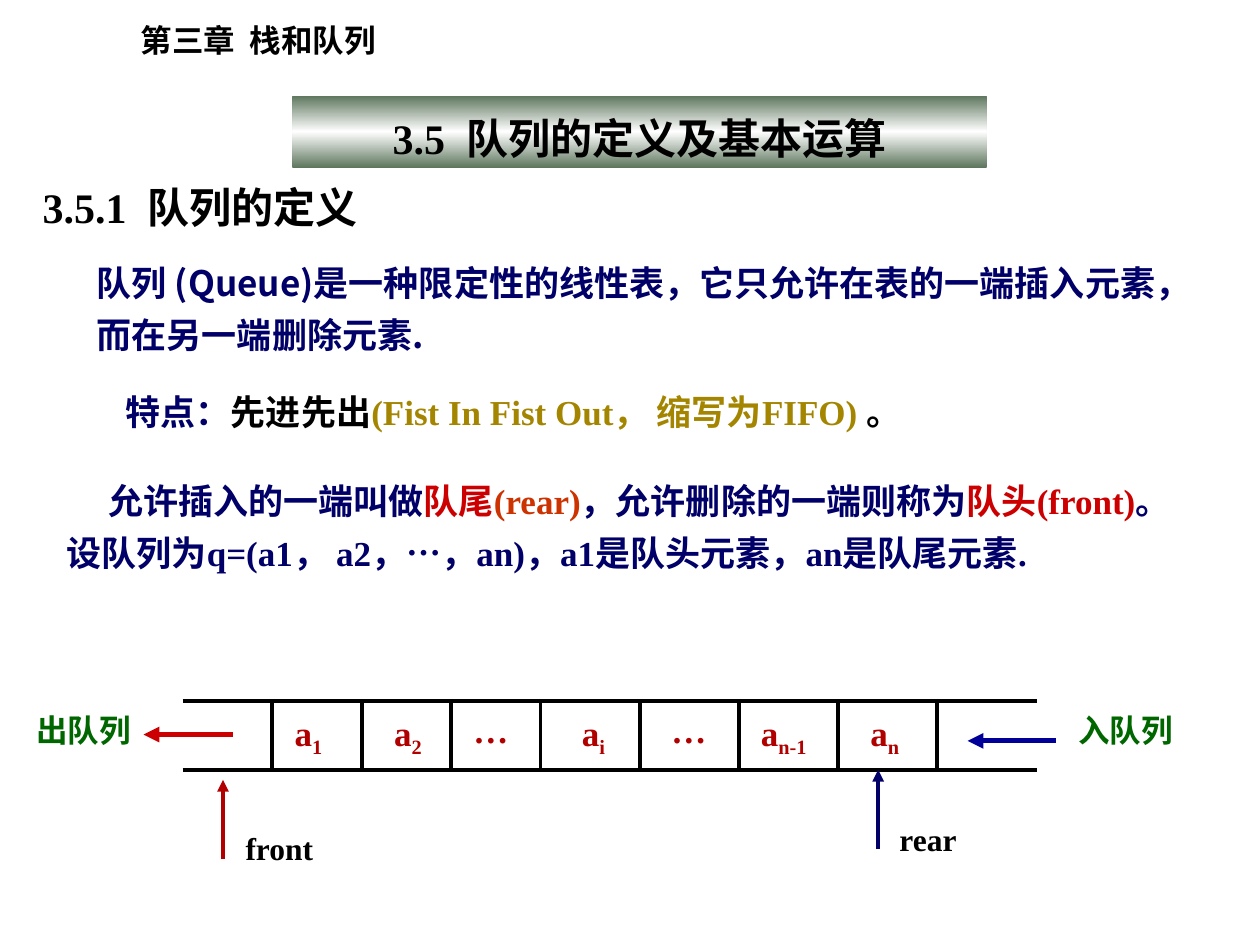
from copy import deepcopy

from lxml.etree import SubElement as Sub
from pptx import Presentation
from pptx.dml.color import RGBColor
from pptx.enum.shapes import MSO_CONNECTOR as Conn
from pptx.enum.text import MSO_ANCHOR as Anchor, MSO_AUTO_SIZE as Fit, PP_ALIGN as Align
from pptx.oxml.ns import qn
from pptx.util import Inches, Pt

SERIF, SANS = "Times New Roman", "Noto Sans CJK SC"
BLACK, NAVY, RED, DARK = "000000", "000068", "CC0000", "B00000"
GREEN, GOLD, RUST, BLUE = "006600", "A48500", "CC3300", "000099"
SAGE, WHITE = "5E765E", "FFFFFF"


def color(code):
    return RGBColor.from_string(code)


def write(frame, paras, size=20, tint=BLACK, font=SERIF, gap=1, align=Align.LEFT, wrap=True):
    """Fill a frame; each paragraph is a list of (text, colour, is_subscript)."""
    frame.word_wrap = wrap
    for num, runs in enumerate(paras):
        para = frame.paragraphs[0] if num == 0 else frame.add_paragraph()
        para.alignment, para.line_spacing = align, gap
        for text, *more in runs:
            run = para.add_run()
            run.text = text
            run.font.size, run.font.bold, run.font.name = Pt(size), True, font
            run.font.color.rgb = color(more[0] if more else tint)
            props = run.font._element
            Sub(props, qn("a:ea"), typeface=SANS)
            if len(more) > 1:
                props.set("baseline", "-25000")


def add_text(slide, left, top, width, height, paras, **form):
    box = slide.shapes.add_textbox(Inches(left), Inches(top), Inches(width), Inches(height))
    if isinstance(paras, str):
        paras = [[(paras,)]]
    write(box.text_frame, paras, **form)
    box.text_frame.auto_size = Fit.SHAPE_TO_FIT_TEXT
    return box


def add_line(slide, x1, y1, x2, y2, tint=BLACK, width=2.25, arrow=False):
    line = slide.shapes.add_connector(
        Conn.STRAIGHT, Inches(x1), Inches(y1), Inches(x2), Inches(y2))
    line.line.color.rgb, line.line.width = color(tint), Pt(width)
    if arrow:
        Sub(line.line._get_or_add_ln(), qn("a:tailEnd"), type="triangle")
    Sub(line._element.spPr, qn("a:effectLst"))


def add_title(slide, text):
    title = slide.shapes.title
    title.left, title.top = Inches(2.32), Inches(0.76)
    title.width, title.height = Inches(5.51), Inches(0.57)
    # Band that is light in the middle
    fill = title.fill
    fill.gradient()
    stops = title._element.spPr.find(".//" + qn("a:gsLst"))
    stops.append(deepcopy(stops[0]))
    for stop, place, tint in zip(fill.gradient_stops, (0, 0.5, 1), (SAGE, WHITE, SAGE)):
        stop.position, stop.color.rgb = place, color(tint)
    fill.gradient_angle = 90
    write(title.text_frame, [[(text,)]], size=24, gap=1.25, align=Align.CENTER)
    title.text_frame.vertical_anchor = Anchor.MIDDLE
    title.text_frame.auto_size = Fit.NONE


def add_prose(slide):
    add_text(slide, 1.02, 0.12, 2.7, 0.4, "第三章  栈和队列", size=18)
    add_text(slide, 0.24, 1.39, 2.78, 0.5, "3.5.1  队列的定义", size=24, wrap=False)
    add_text(slide, 0.67, 1.94, 8.66, 0.94,
             "队列 (Queue)是一种限定性的线性表，它只允许在表的一端插入元素，而在另一端删除元素.",
             tint=NAVY, font=SANS, gap=1.25)
    add_text(slide, 0.9, 2.88, 7.24, 0.6, [[
        ("特点：", NAVY), ("先进先出",),
        ("(Fist In Fist Out， 缩写为FIFO) ", GOLD), ("。",)]], gap=1.5)
    ends = add_text(slide, 0.43, 3.67, 9.57, 1.35, [
        [("允许插入的一端叫做",), ("队尾", RED), ("(rear)", RUST),
         ("，允许删除的一端则称为",), ("队头(front)", RED), ("。",)],
        [("设队列为q=(a1， a2，…，an)，a1是队头元素，an是队尾元素.",)],
    ], tint=NAVY, gap=1.25)
    first = ends.text_frame.paragraphs[0]._p.get_or_add_pPr()
    first.set("indent", str(Inches(0.33)))


def add_queue(slide):
    top, base = 5.56, 6.11
    # Rails and cell walls: four narrow steps, then four wide ones
    for y in (top, base):
        add_line(slide, 1.45, y, 8.23, y)
    wide = (7.44 - 4.29) / 4
    walls = [2.16 + 0.71 * i for i in range(4)] + [4.29 + wide * i for i in range(1, 5)]
    for x in walls:
        add_line(slide, x, top, x, base)

    # Cell contents
    cells = [(2.24, "a", "1"), (3.03, "a", "2"), (3.66, "…", ""), (4.52, "a", "i"),
             (5.23, "…", ""), (5.94, "a", "n-1"), (6.81, "a", "n")]
    for x, name, sub in cells:
        runs = [(name, DARK)] + ([(sub, DARK, True)] if sub else [])
        add_text(slide, x, 5.72, 0.63, 0.29, [runs], gap=0.5)

    # Pointers and flow arrows
    add_line(slide, 1.77, 6.82, 1.77, 6.19, DARK, arrow=True)
    add_line(slide, 6.97, 6.74, 6.97, base, NAVY, arrow=True)
    add_line(slide, 1.85, 5.83, 1.14, 5.83, RED, 3, arrow=True)
    add_line(slide, 8.38, 5.88, 7.68, 5.88, BLUE, 3, arrow=True)
    for x, y, width, text, tint in [
            (1.85, 6.66, 0.79, "front", BLACK), (7.04, 6.59, 0.79, "rear", BLACK),
            (8.46, 5.72, 1.02, "入队列", GREEN), (0.19, 5.72, 1.02, "出队列", GREEN)]:
        add_text(slide, x, y, width, 0.25, text, size=18, tint=tint, gap=0.5)


def main():
    deck = Presentation()
    deck.slide_width, deck.slide_height = Inches(10), Inches(7.5)
    slide = deck.slides.add_slide(deck.slide_layouts[5])
    add_title(slide, "3.5  队列的定义及基本运算")
    add_prose(slide)
    add_queue(slide)
    deck.save("out.pptx")


if __name__ == "__main__":
    main()
